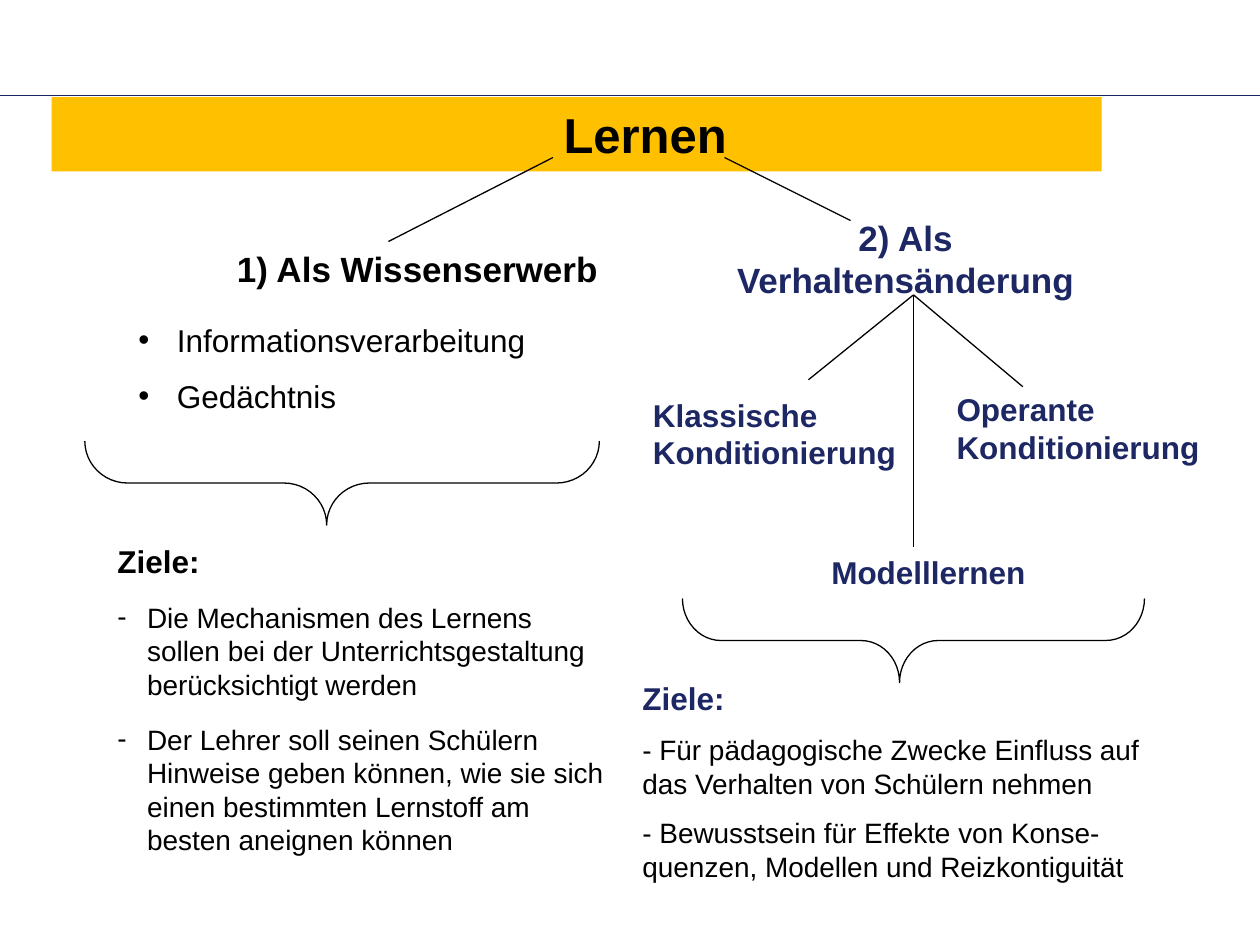
import pptx
import pptx.dml.color
import pptx.enum.shapes
import pptx.enum.text
import pptx.oxml.ns
import pptx.util
from lxml import etree

Pt = pptx.util.Pt
RGBColor = pptx.dml.color.RGBColor
MSO_SHAPE = pptx.enum.shapes.MSO_SHAPE
ALIGN = pptx.enum.text.PP_ALIGN
qn = pptx.oxml.ns.qn

BLACK = RGBColor(0x00, 0x00, 0x00)
NAVY = RGBColor(0x1D, 0x27, 0x63)
AMBER = RGBColor(0xFF, 0xC0, 0x00)

LEFT, CENTER = ALIGN.LEFT, ALIGN.CENTER


def write(tf, paragraphs, align=LEFT, gap=0):
    """Fill tf with (text, size, bold, colour, bullet, indent) paragraphs."""
    tf.word_wrap = True
    for i, (text, size, bold, colour, bullet, indent) in enumerate(paragraphs):
        p = tf.paragraphs[0] if i == 0 else tf.add_paragraph()
        p.alignment = align
        if i:
            p.space_before = Pt(gap)
        if bullet:
            pPr = p._p.get_or_add_pPr()
            pPr.set("marL", str(Pt(indent)))
            pPr.set("indent", str(-Pt(indent)))
            etree.SubElement(pPr, qn("a:buFont"), typeface="Arial")
            etree.SubElement(pPr, qn("a:buChar"), char=bullet)
        r = p.add_run()
        r.text = text
        font = {"name": "Arial", "size": Pt(size), "bold": bold}
        for name, value in font.items():
            setattr(r.font, name, value)
        r.font.color.rgb = colour


def heading(text, size, colour):
    return (text, size, True, colour, None, 0)


def_body = (16, False, BLACK)

prs = pptx.Presentation()
prs.slide_width, prs.slide_height = Pt(720), Pt(540)
s = prs.slides.add_slide(prs.slide_layouts[6])

# Title bar
bar = s.shapes.add_shape(MSO_SHAPE.RECTANGLE, Pt(29.5), Pt(55.5), Pt(600), Pt(42.5))
bar.shadow.inherit = False
bar.fill.solid()
bar.fill.fore_color.rgb = AMBER
bar.line.fill.background()
bar.text_frame.margin_left = Pt(292.5)
bar.text_frame.vertical_anchor = pptx.enum.text.MSO_ANCHOR.MIDDLE
write(bar.text_frame, [heading("Lernen", 28, BLACK)])

# Header rule, then the branches of the tree
FORK = (522, 168.5)
lines = [
    ((0, 54.5), (720, 54.5), NAVY, 0.25),
    ((316, 90), (222, 138), BLACK, 0.75),
    ((414, 90), (486, 126), BLACK, 0.75),
    (FORK, (462, 217), BLACK, 0.75),
    (FORK, (584.5, 221), BLACK, 0.75),
    (FORK, (522, 312.5), BLACK, 0.75),
]
for start, end, colour, width in lines:
    cn = s.shapes.add_connector(pptx.enum.shapes.MSO_CONNECTOR.STRAIGHT,
                                *map(Pt, start + end))
    cn.line.color.rgb = colour
    cn.line.width = Pt(width)
    etree.SubElement(cn._element.spPr, qn("a:effectLst"))

# Braces open upwards and point down to the goals
braces = [
    ((171.5, 129, 48, 294), 0.51),
    ((498, 234, 48, 264), 0.46),
]
for box, curl in braces:
    sp = s.shapes.add_shape(MSO_SHAPE.LEFT_BRACE, *map(Pt, box))
    sp.rotation = 270
    sp.adjustments[0], sp.adjustments[1] = curl, 0.47
    sp.shadow.inherit = False
    sp.fill.background()
    sp.line.color.rgb = BLACK
    sp.line.width = Pt(0.75)

# Text: box, alignment, paragraph gap, paragraphs
texts = [
    ((120, 138, 237, 31), CENTER, 0, [heading("1) Als Wissenserwerb", 20, BLACK)]),
    ((72, 180, 264, 61), LEFT, 10.3, [
        ("Informationsverarbeitung", 18, False, BLACK, "•", 22),
        ("Gedächtnis", 18, False, BLACK, "•", 22),
    ]),
    ((408, 120, 219, 55.5), CENTER, 0, [heading("2) Als Verhaltensänderung", 20, NAVY)]),
    ((366, 222.5, 156, 50.5), LEFT, 0, [heading("Klassische Konditionierung", 18, NAVY)]),
    ((539.5, 219.5, 156, 50.5), LEFT, 0, [heading("Operante Konditionierung", 18, NAVY)]),
    ((468, 312.5, 144, 29), LEFT, 0, [heading("Modelllernen", 18, NAVY)]),
    ((60, 306, 294, 191.5), LEFT, 12, [
        heading("Ziele:", 18, BLACK),
        ("Die Mechanismen des Lernens sollen bei der Unterrichtsgestaltung "
         "berücksichtigt werden", *def_body, "-", 17),
        ("Der Lehrer soll seinen Schülern Hinweise geben können, wie sie sich "
         "einen bestimmten Lernstoff am besten aneignen können", *def_body, "-", 17),
    ]),
    ((360, 384.5, 300, 125.5), LEFT, 9, [
        heading("Ziele:", 18, NAVY),
        ("- Für pädagogische Zwecke Einfluss auf das Verhalten von Schülern nehmen",
         *def_body, None, 0),
        ("- Bewusstsein für Effekte von Konse-quenzen, Modellen und Reizkontiguität",
         *def_body, None, 0),
    ]),
]
for box, align, gap, paragraphs in texts:
    tb = s.shapes.add_textbox(*map(Pt, box))
    write(tb.text_frame, paragraphs, align, gap)

prs.save("out.pptx")
